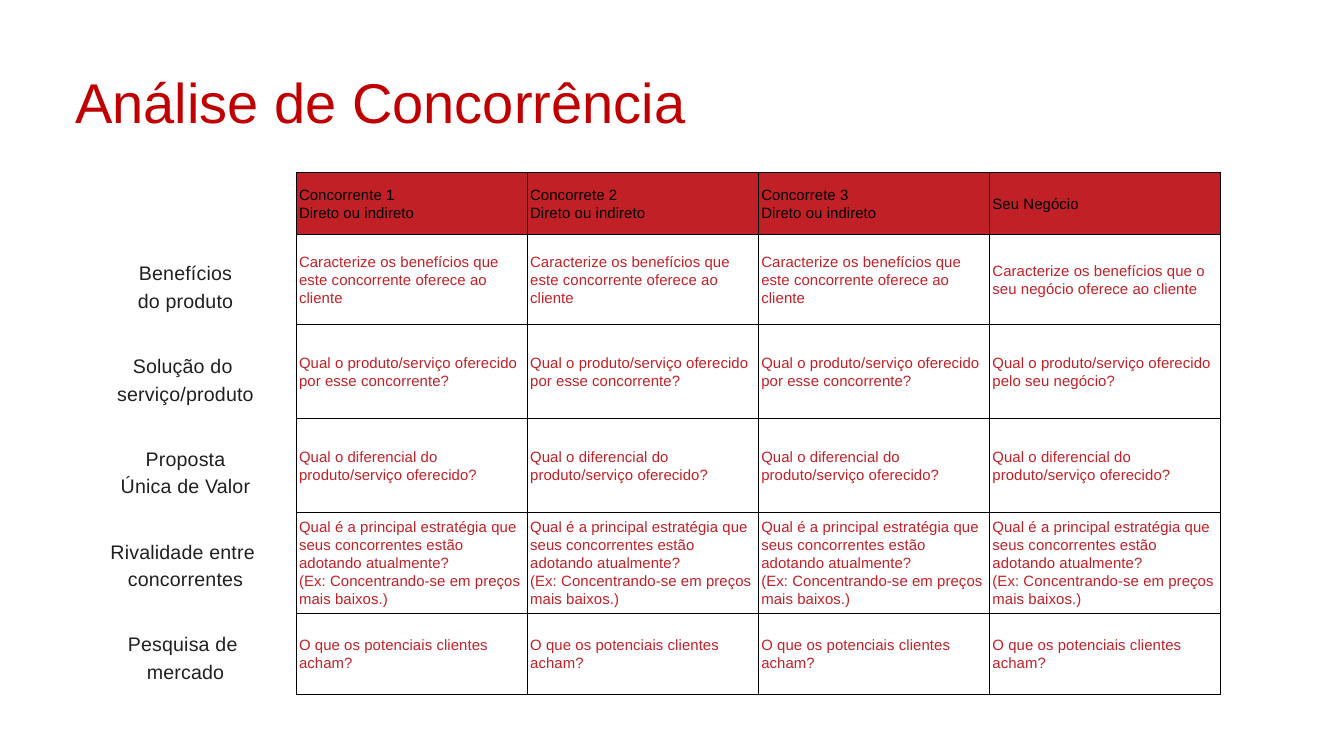
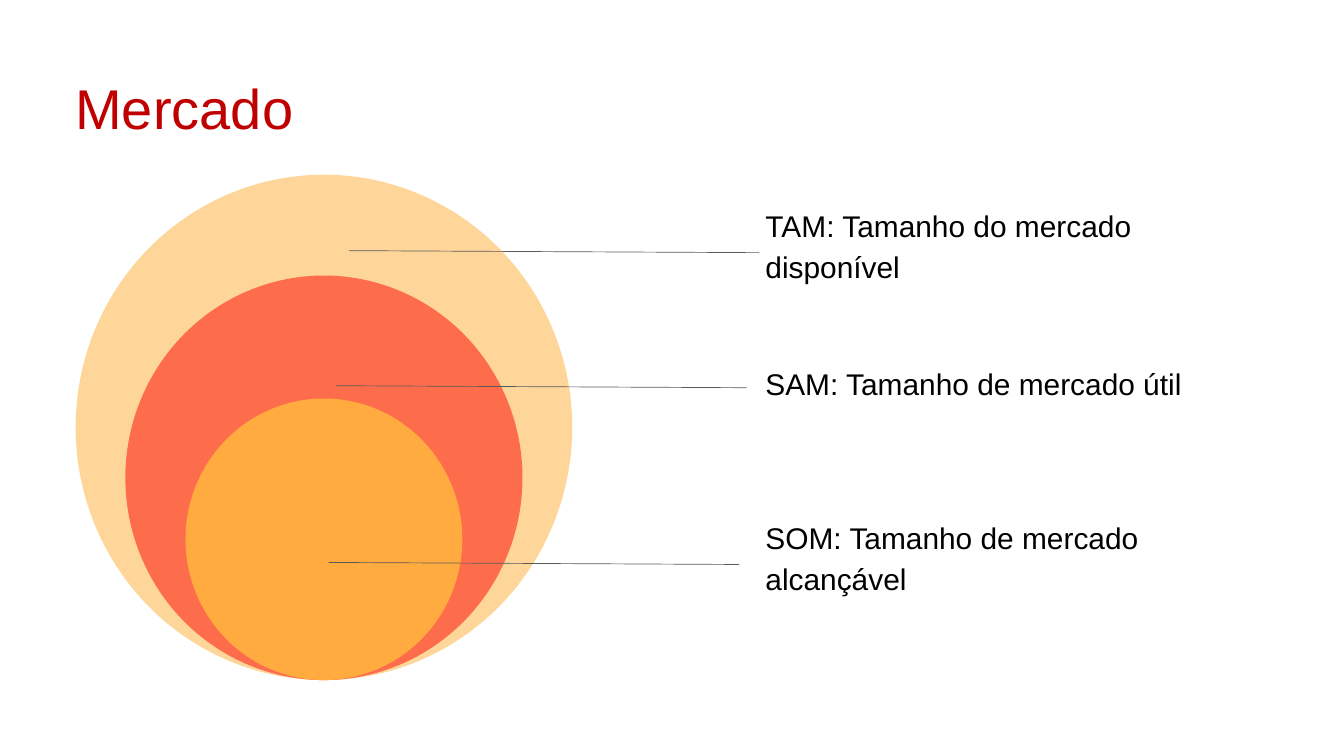
from dataclasses import dataclass

from lxml import etree
from pptx import Presentation
from pptx import util as u
from pptx.dml.color import RGBColor
from pptx.enum import shapes, text
from pptx.oxml import ns
from pptx.slide import Slide
from pptx.table import _Cell
from pptx.text.text import TextFrame

WIDTH, HEIGHT = u.Inches(20), u.Inches(11.25)
COLUMN, ROW = WIDTH / 20, HEIGHT / 11.25

FONT = "Arial"
TITLE_RED = RGBColor(0xC0, 0x00, 0x00)
TABLE_RED = RGBColor(0xC0, 0x20, 0x26)
BLACK = RGBColor(0x00, 0x00, 0x00)
CHARCOAL = RGBColor(0x20, 0x20, 0x20)
GREY = RGBColor(0x59, 0x59, 0x59)
PEACH = RGBColor(0xFF, 0xD6, 0x99)
CORAL = RGBColor(0xFE, 0x6D, 0x4B)
AMBER = RGBColor(0xFF, 0xAB, 0x40)

LEFT = 1.12
CONTENT_WIDTH = 17.75
RULE_WIDTH = u.Pt(0.75)


@dataclass(frozen=True)
class TextStyle:
    size: float
    leading: float
    color: RGBColor
    align: text.PP_ALIGN = text.PP_ALIGN.LEFT
    tracking: int = 0


@dataclass(frozen=True)
class Box:
    left: float
    top: float
    width: float
    height: float

    def emu(self) -> tuple[int, int, int, int]:
        return (across(self.left), down(self.top), across(self.width), down(self.height))


@dataclass(frozen=True)
class Market:
    label: str
    color: RGBColor
    width: float
    height: float
    label_box: Box
    line_left: float
    line_top: float


TITLE = TextStyle(60, 72, TITLE_RED)
HEADER = TextStyle(16, 19.2, BLACK, tracking=10)
ANSWER = TextStyle(16, 19.2, TABLE_RED, tracking=10)
CRITERION = TextStyle(21, 29.4, CHARCOAL, text.PP_ALIGN.CENTER, 20)
MARKET_LABEL = TextStyle(32, 44.2, BLACK)

TABLE_BOX = Box(4.41, 2.56, 13.75, 7.79)
COLUMN_WIDTHS = (3.44, 3.44, 3.44, 3.43)
ROW_HEIGHTS = (0.93, 1.34, 1.4, 1.4, 1.49, 1.22)
CELL_MARGIN = 0.04
HEADERS = (
    "Concorrente 1\nDireto ou indireto",
    "Concorrete 2\nDireto ou indireto",
    "Concorrete 3\nDireto ou indireto",
    "Seu Negócio",
)
STRATEGY = (
    "Qual é a principal estratégia que seus concorrentes estão adotando atualmente?\n"
    "(Ex: Concentrando-se em preços mais baixos.)"
)
DIFFERENTIAL = "Qual o diferencial do produto/serviço oferecido?"
OPINION = "O que os potenciais clientes acham?"
COMPETITOR_AND_OWN = (
    (
        "Caracterize os benefícios que este concorrente oferece ao cliente",
        "Caracterize os benefícios que o seu negócio oferece ao cliente",
    ),
    (
        "Qual o produto/serviço oferecido por esse concorrente?",
        "Qual o produto/serviço oferecido pelo seu negócio?",
    ),
    (DIFFERENTIAL, DIFFERENTIAL),
    (STRATEGY, STRATEGY),
    (OPINION, OPINION),
)
CRITERIA = (
    "Benefícios\ndo produto",
    "Solução do \nserviço/produto",
    "Proposta\nÚnica de Valor",
    "Rivalidade entre \nconcorrentes",
    "Pesquisa de \nmercado",
)
CRITERIA_TOP, CRITERIA_PITCH = 3.83, 1.38

CIRCLE_CENTER, CIRCLE_BOTTOM = 4.82, 10.12
LINE_LENGTH, LINE_DROP = 6.11, 0.03
LABEL_LEFT = 11.39
MARKETS = (
    Market("TAM: Tamanho do mercado disponível", PEACH, 7.39, 7.52,
           Box(LABEL_LEFT, 3.01, 7.48, 1.22), 5.19, 3.73),
    Market("SAM: Tamanho de mercado útil", CORAL, 5.91, 6.02,
           Box(LABEL_LEFT, 5.36, 7.36, 0.62), 5, 5.74),
    Market("SOM: Tamanho de mercado alcançável", AMBER, 4.12, 4.19,
           Box(LABEL_LEFT, 7.65, 7.48, 1.22), 4.89, 8.37),
)


def across(columns: float) -> int:
    return round(columns * COLUMN)


def down(rows: float) -> int:
    return round(rows * ROW)


def write(frame: TextFrame, content: str, style: TextStyle) -> None:
    frame.text = content
    frame.word_wrap = True
    for paragraph in frame.paragraphs:
        paragraph.alignment = style.align
        paragraph.line_spacing = u.Pt(style.leading)
        paragraph.font.name = FONT
        paragraph.font.size = u.Pt(style.size)
        paragraph.font.color.rgb = style.color
        if style.tracking:
            for run in paragraph.runs:
                run._r.get_or_add_rPr().set("spc", str(style.tracking))


def add_text(slide: Slide, content: str, box: Box, style: TextStyle) -> None:
    frame = slide.shapes.add_textbox(*box.emu()).text_frame
    frame.margin_left = frame.margin_right = frame.margin_top = frame.margin_bottom = 0
    write(frame, content, style)
    frame.auto_size = text.MSO_AUTO_SIZE.SHAPE_TO_FIT_TEXT


def add_titled_slide(presentation: Presentation, title: str, top: float) -> Slide:
    slide = presentation.slides.add_slide(presentation.slide_layouts[6])
    add_text(slide, title, Box(LEFT, top, CONTENT_WIDTH, 1.03), TITLE)
    return slide


def add_borders(cell: _Cell) -> None:
    properties = cell._tc.get_or_add_tcPr()
    for side in ("a:lnL", "a:lnR", "a:lnT", "a:lnB"):
        line = etree.SubElement(properties, ns.qn(side), w=str(RULE_WIDTH))
        fill = etree.SubElement(line, ns.qn("a:solidFill"))
        etree.SubElement(fill, ns.qn("a:srgbClr"), val=str(BLACK))


def fill_cell(cell: _Cell, content: str, is_header: bool) -> None:
    add_borders(cell)
    cell.vertical_anchor = text.MSO_ANCHOR.MIDDLE
    margin = across(CELL_MARGIN)
    cell.margin_left = cell.margin_right = cell.margin_top = cell.margin_bottom = margin
    write(cell.text_frame, content, HEADER if is_header else ANSWER)
    if is_header:
        cell.fill.solid()
        cell.fill.fore_color.rgb = TABLE_RED
    else:
        cell.fill.background()


def add_competitor_table(slide: Slide) -> None:
    rows = [HEADERS] + [(rival,) * 3 + (own,) for rival, own in COMPETITOR_AND_OWN]
    table = slide.shapes.add_table(len(rows), len(HEADERS), *TABLE_BOX.emu()).table
    table.first_row = table.horz_banding = False
    for column, width in zip(table.columns, COLUMN_WIDTHS):
        column.width = across(width)
    for row, height in zip(table.rows, ROW_HEIGHTS):
        row.height = down(height)
    for row_index, contents in enumerate(rows):
        for column_index, content in enumerate(contents):
            fill_cell(table.cell(row_index, column_index), content, row_index == 0)


def add_market(slide: Slide, market: Market) -> None:
    box = Box(CIRCLE_CENTER - market.width / 2, CIRCLE_BOTTOM - market.height,
              market.width, market.height)
    circle = slide.shapes.add_shape(shapes.MSO_SHAPE.OVAL, *box.emu())
    circle.shadow.inherit = False
    circle.fill.solid()
    circle.fill.fore_color.rgb = market.color
    circle.line.fill.background()
    add_text(slide, market.label, market.label_box, MARKET_LABEL)
    line = slide.shapes.add_connector(
        shapes.MSO_CONNECTOR.STRAIGHT,
        across(market.line_left), down(market.line_top),
        across(market.line_left + LINE_LENGTH), down(market.line_top + LINE_DROP),
    )
    line.line.color.rgb = GREY
    line.line.width = RULE_WIDTH
    etree.SubElement(line._element.spPr, ns.qn("a:effectLst"))


def build_competition(presentation: Presentation) -> None:
    slide = add_titled_slide(presentation, "Análise de Concorrência", 1.01)
    add_competitor_table(slide)
    for index, criterion in enumerate(CRITERIA):
        box = Box(LEFT, CRITERIA_TOP + index * CRITERIA_PITCH, 3.28, 0.81)
        add_text(slide, criterion, box, CRITERION)


def build_market(presentation: Presentation) -> None:
    slide = add_titled_slide(presentation, "Mercado", 1.09)
    for market in MARKETS:
        add_market(slide, market)


def main() -> None:
    presentation = Presentation()
    presentation.slide_width, presentation.slide_height = WIDTH, HEIGHT
    build_competition(presentation)
    build_market(presentation)
    presentation.save("out.pptx")


if __name__ == "__main__":
    main()
